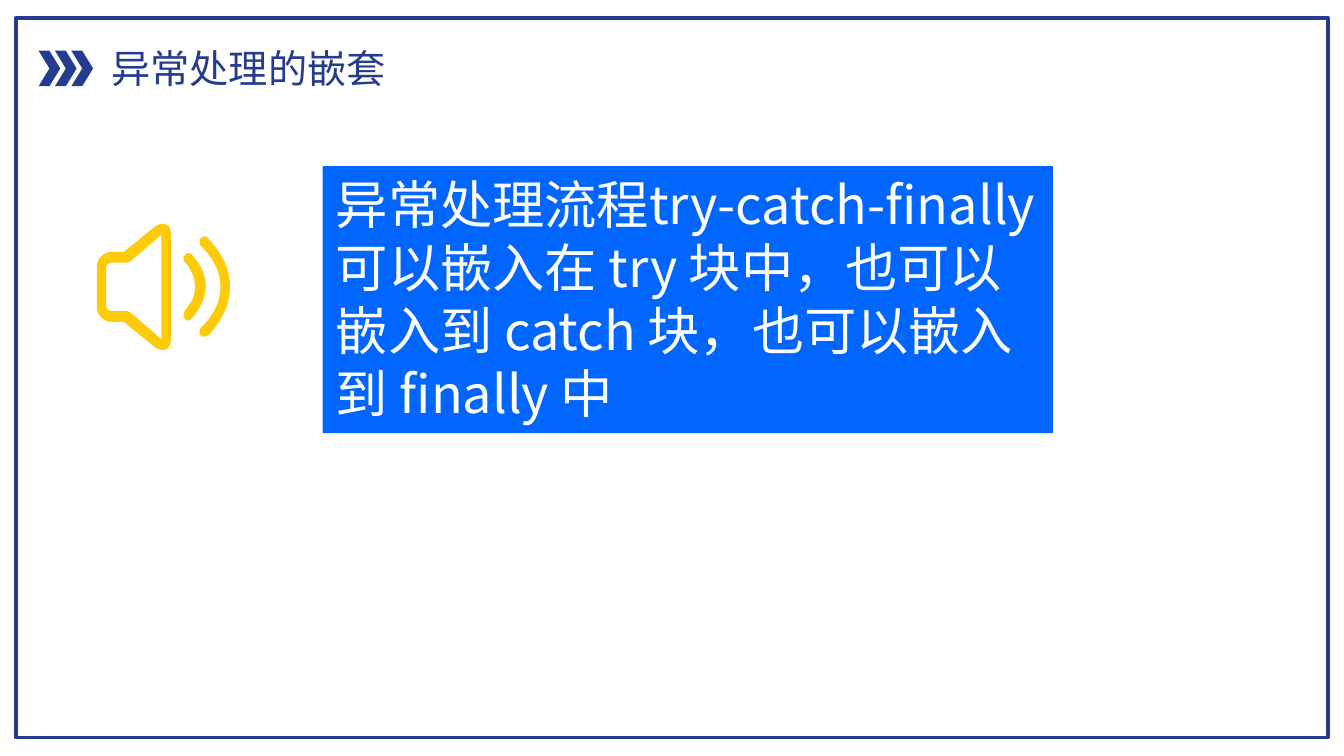
from lxml import etree
from pptx import Presentation
from pptx import util as u
from pptx.dml.color import RGBColor
from pptx.enum import shapes, text
from pptx.oxml.ns import qn

NAVY = RGBColor(0x25, 0x3C, 0x8E)
BLUE = RGBColor(0x00, 0x66, 0xFF)
YELLOW = RGBColor(0xFF, 0xCA, 0x08)
WHITE = RGBColor(0xFF, 0xFF, 0xFF)
FONT = "Noto Sans CJK SC"


def write(shape, words, size, color, wrap=True):
    frame = shape.text_frame
    frame.word_wrap = wrap
    frame.auto_size = text.MSO_AUTO_SIZE.SHAPE_TO_FIT_TEXT
    frame.vertical_anchor = text.MSO_ANCHOR.TOP
    paragraph = frame.paragraphs[0]
    paragraph.alignment = text.PP_ALIGN.LEFT
    run = paragraph.add_run()
    run.text = words
    run.font.size = u.Pt(size)
    run.font.name = FONT
    run.font.color.rgb = color
    etree.SubElement(run._r.rPr, qn("a:ea")).set("typeface", FONT)


def paint(shape, color):
    shape.shadow.inherit = False
    shape.fill.solid()
    shape.fill.fore_color.rgb = color
    shape.line.fill.background()


prs = Presentation()
prs.slide_width, prs.slide_height = u.Cm(25.4), u.Cm(14.29)
slide = prs.slides.add_slide(prs.slide_layouts[5])

# Frame around the page
frame_border = slide.shapes.add_shape(
    shapes.MSO_SHAPE.RECTANGLE, u.Cm(0.3), u.Cm(0.34), u.Cm(24.8), u.Cm(13.6))
frame_border.shadow.inherit = False
frame_border.fill.background()
frame_border.line.color.rgb = NAVY
frame_border.line.width = u.Pt(2)

# Heading with three chevrons
for i in range(3):
    chevron = slide.shapes.add_shape(
        shapes.MSO_SHAPE.CHEVRON, u.Cm(0.73 + 0.31 * i), u.Cm(0.96), u.Cm(0.41), u.Cm(0.67))
    paint(chevron, NAVY)

heading = slide.shapes.title
heading.left, heading.top = u.Cm(1.85), u.Cm(0.71)
heading.width, heading.height = u.Cm(5.74), u.Cm(1.14)
write(heading, "异常处理的嵌套", 21, NAVY, wrap=False)

# Statement
statement = slide.shapes.add_shape(
    shapes.MSO_SHAPE.RECTANGLE, u.Cm(6.1), u.Cm(3.14), u.Cm(13.8), u.Cm(5.05))
paint(statement, BLUE)
write(statement, "异常处理流程try-catch-finally可以嵌入在 try 块中，"
      "也可以嵌入到 catch 块，也可以嵌入到 finally 中", 28, WHITE)

# Loudspeaker outlines in hundredths of an inch from the icon's corner:
# a start, then lines (2 numbers) and Bezier curves (6 numbers)
outlines = [
    # body, outside
    ((49, 94), [(47, 94, 44, 93, 41, 90), (20, 73), (11, 73), (5, 73, 0, 68, 0, 62),
                (0, 32), (0, 26, 5, 21, 11, 21), (20, 21), (41, 4),
                (44, 1, 47, 0, 49, 0), (52, 0, 55, 2, 55, 7), (55, 87),
                (55, 92, 52, 94, 49, 94)]),
    # body, inside
    ((11, 29), [(9, 29, 7, 30, 7, 32), (7, 62), (7, 64, 9, 65, 11, 65), (22, 65),
                (23, 65, 24, 66, 25, 66), (47, 85), (47, 85, 47, 85, 48, 86), (48, 8),
                (47, 8, 47, 9, 47, 9), (25, 28), (24, 28, 23, 29, 22, 29), (11, 29)]),
    # small wave
    ((68, 72), [(67, 72, 66, 72, 66, 71), (64, 70, 64, 68, 65, 66), (66, 64),
                (70, 59, 73, 55, 73, 47), (73, 39, 70, 35, 67, 30),
                (66, 29, 65, 29, 65, 28), (64, 26, 64, 24, 66, 23),
                (67, 21, 70, 22, 71, 23), (71, 24, 72, 25, 73, 26),
                (77, 31, 81, 37, 81, 47), (81, 57, 76, 63, 72, 69), (71, 70),
                (70, 71, 69, 72, 68, 72)]),
    # large wave
    ((80, 84), [(79, 84, 79, 84, 78, 84), (76, 82, 76, 80, 77, 78),
                (85, 70, 92, 60, 92, 47), (92, 34, 85, 24, 77, 16),
                (76, 14, 76, 12, 78, 10), (79, 9, 82, 9, 83, 11),
                (91, 20, 99, 31, 99, 47), (99, 63, 91, 74, 83, 83),
                (82, 84, 81, 84, 80, 84)]),
]
builder = slide.shapes.build_freeform(*outlines[0][0], scale=u.Cm(2.54) / 100)
for start, segments in outlines:
    if start != outlines[0][0]:
        builder.move_to(*start)
    points = [pair for s in segments for pair in zip(s[::2], s[1::2])]
    builder.add_line_segments(points, close=True)
loudspeaker = builder.convert_to_shape(u.Cm(1.83), u.Cm(4.23))
paint(loudspeaker, YELLOW)

# Join each curve's three points into one Bezier segment
lines = iter(list(loudspeaker._element.iter(qn("a:lnTo"))))
for start, segments in outlines:
    for segment in segments:
        first = next(lines)
        if len(segment) == 6:
            curve = etree.Element(qn("a:cubicBezTo"))
            first.addprevious(curve)
            for line in (first, next(lines), next(lines)):
                curve.append(line[0])
                line.getparent().remove(line)

prs.save("out.pptx")
